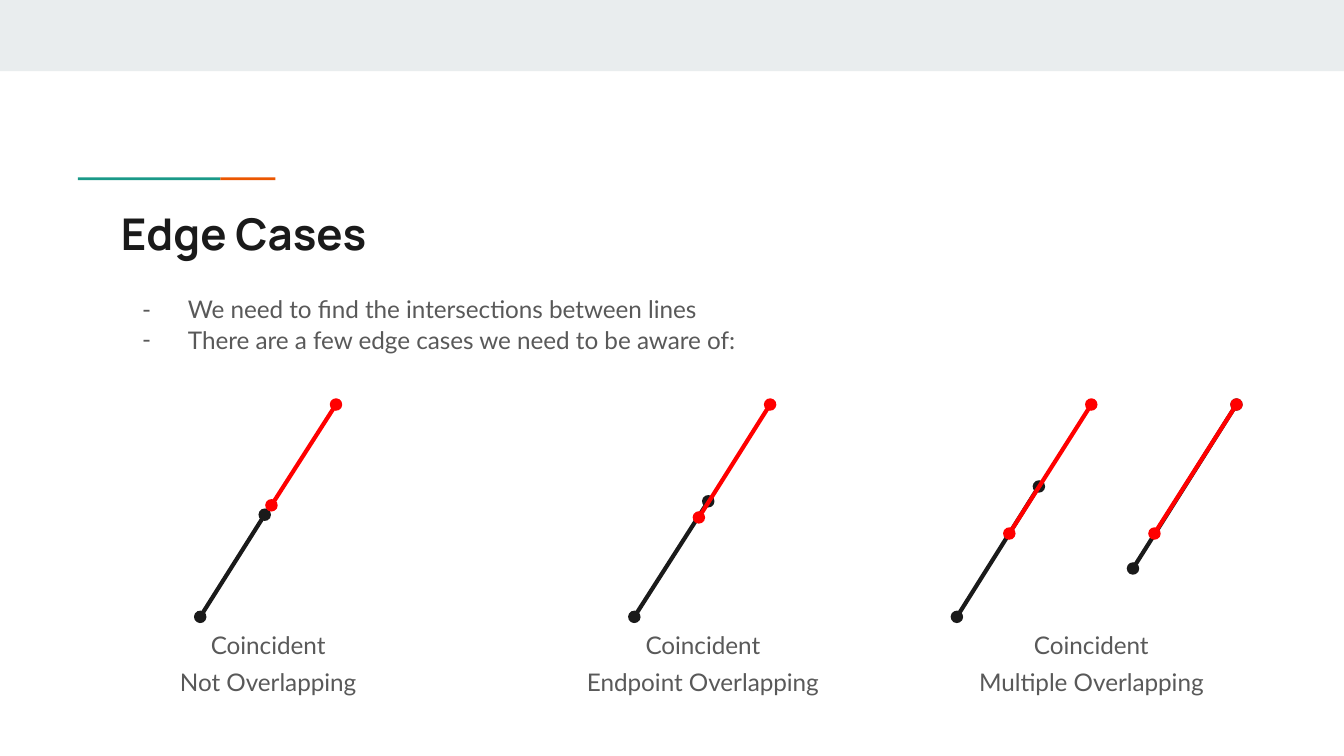
"""Build the Edge Cases slide with its pairs of coincident lines."""
from lxml.etree import SubElement as Sub
from pptx import Presentation
from pptx.dml.color import RGBColor
from pptx.enum.shapes import MSO_CONNECTOR as Conn, MSO_SHAPE as Shape
from pptx.enum.text import MSO_ANCHOR as Anchor, MSO_AUTO_SIZE as Auto, PP_ALIGN as Align
from pptx.oxml.ns import qn
from pptx.util import Inches, Pt

DARK, RED, GREY = "1A1A1A", "FF0000", "595959"


def paint(color, tone):
    """Set a fill, line or font colour from a hex string."""
    color.rgb = RGBColor.from_string(tone)


def write(shape, box, lines, face, size, tone):
    """Place a text shape and fill it with one paragraph per line."""
    shape.left, shape.top, shape.width, shape.height = map(Inches, box)
    frame = shape.text_frame
    frame.word_wrap = True
    frame.auto_size = Auto.NONE
    frame.vertical_anchor = Anchor.TOP
    frame.margin_left = frame.margin_right = Inches(0.1)
    frame.margin_top = frame.margin_bottom = Inches(0.1)
    frame.text = "\n".join(lines)
    for para in frame.paragraphs:
        para.alignment = Align.LEFT
        para.font.name = face
        para.font.size = Pt(size)
        paint(para.font.color, tone)
    return frame.paragraphs


deck = Presentation()
deck.slide_width, deck.slide_height = Inches(10), Inches(10 * 9 / 16)
slide = deck.slides.add_slide(deck.slide_layouts[5])
shapes = slide.shapes

bars = [
    (0, 0, 10, 0.53, "E9EDEE"),
    (0.58, 1.32, 1.06, 0.02, "1A9988"),
    (1.64, 1.32, 0.41, 0.02, "EB5600"),
]
for *box, tone in bars:
    bar = shapes.add_shape(Shape.RECTANGLE, *map(Inches, box))
    bar.shadow.inherit = False
    bar.fill.solid()
    paint(bar.fill.fore_color, tone)
    bar.line.fill.background()

title = write(shapes.title, (0.8, 1.44, 8.41, 0.59), ["Edge Cases"], "Manrope", 23.4, DARK)
title[0].font.bold = True

points = [
    "We need to find the intersections between lines",
    "There are a few edge cases we need to be aware of:",
]
body = shapes.add_textbox(0, 0, 0, 0)
for para in write(body, (0.8, 2.08, 8.41, 0.65), points, "Lato", 13, GREY):
    para.line_spacing = 1.05
    props = para._p.get_or_add_pPr()
    props.set("marL", str(Inches(0.5)))
    props.set("indent", str(Inches(-0.34)))
    Sub(Sub(props, qn("a:buClr")), qn("a:srgbClr"), val=GREY)
    Sub(props, qn("a:buFont"), typeface="Lato")
    Sub(props, qn("a:buChar"), char="-")

lines = [
    (1.49, 4.59, 1.97, 3.83, DARK),
    (2.02, 3.76, 2.5, 3.01, RED),
    (4.72, 4.59, 5.27, 3.73, DARK),
    (5.2, 3.85, 5.73, 3.01, RED),
    (7.12, 4.59, 7.73, 3.62, DARK),
    (7.51, 3.97, 8.12, 3.01, RED),
    (8.43, 4.23, 9.2, 3.01, DARK),
    (8.59, 3.97, 9.2, 3.01, RED),
]
for *ends, tone in lines:
    line = shapes.add_connector(Conn.STRAIGHT, *map(Inches, ends))
    line.line.width = Pt(2.25)
    paint(line.line.color, tone)
    stroke = line.line._get_or_add_ln()
    for end in ("a:headEnd", "a:tailEnd"):
        Sub(stroke, qn(end), type="oval")
    Sub(line._element.spPr, qn("a:effectLst"))

labels = [
    (1.01, 1.97, "Not Overlapping"),
    (4.13, 2.2, "Endpoint Overlapping"),
    (6.97, 2.3, "Multiple Overlapping"),
]
for left, width, kind in labels:
    label = shapes.add_textbox(0, 0, 0, 0)
    paras = write(label, (left, 4.59, width, 0.7), ["Coincident", kind], "Lato", 13, GREY)
    for para in paras:
        para.alignment = Align.CENTER
    paras[1].space_before = paras[1].space_after = Pt(4)

deck.save("out.pptx")
